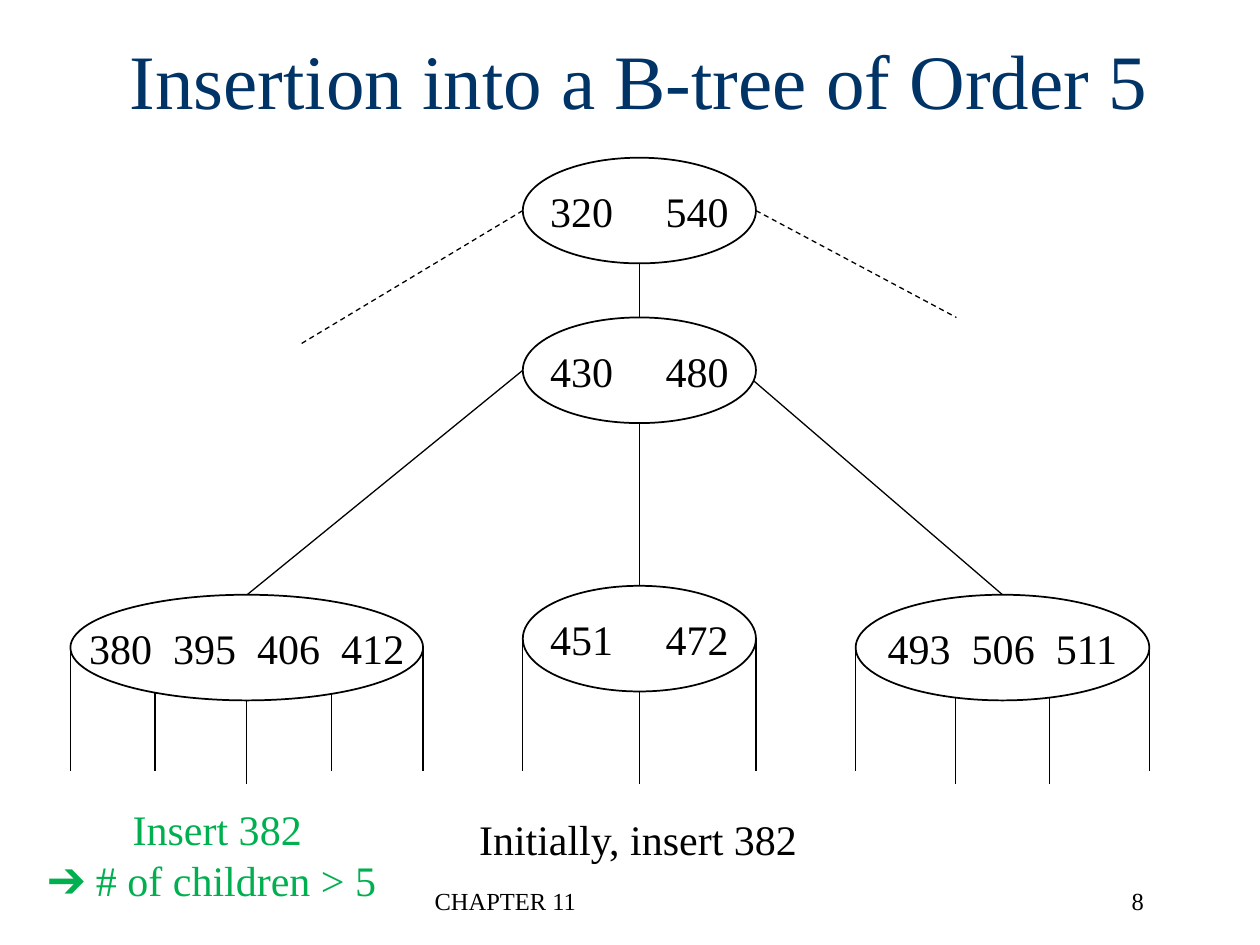
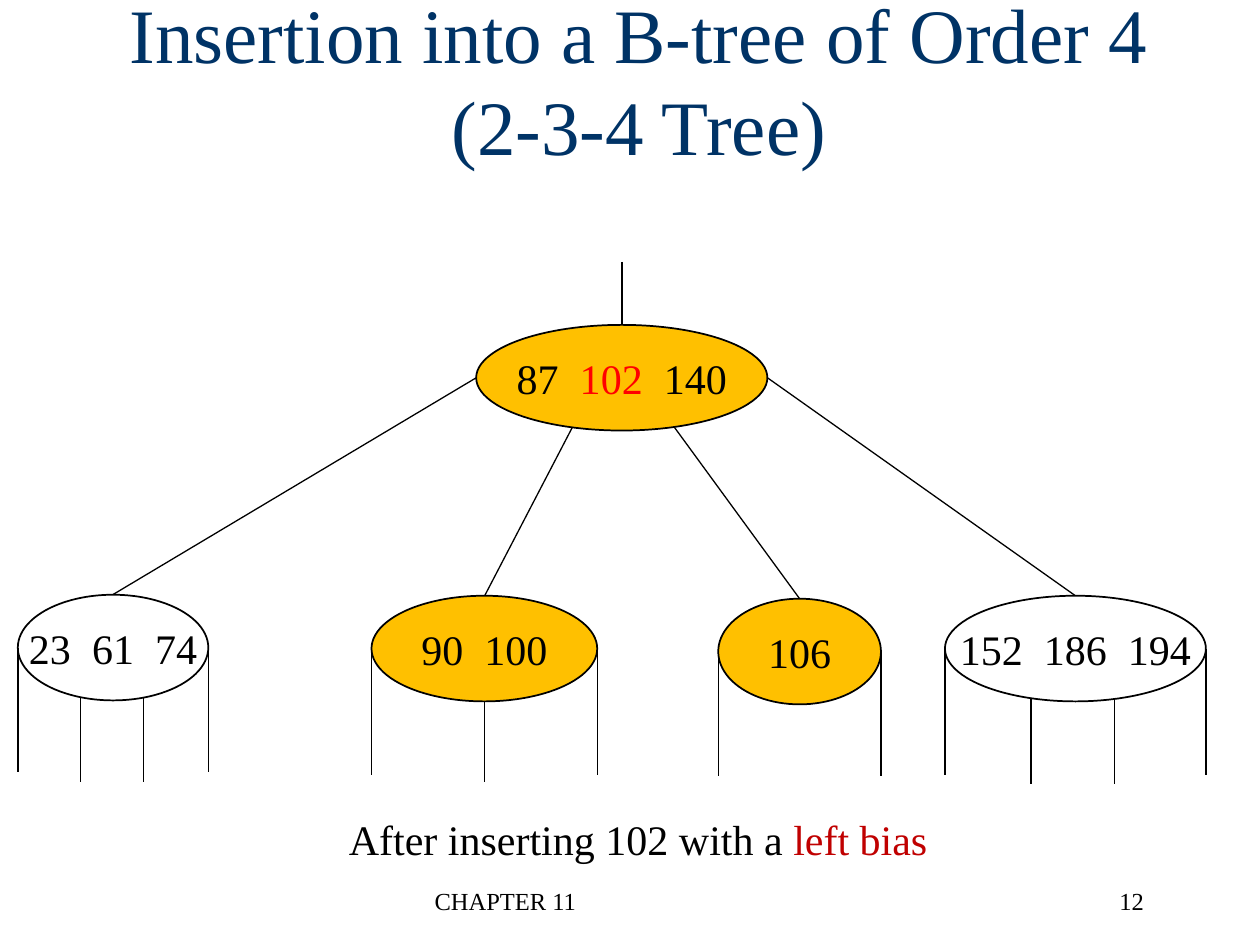
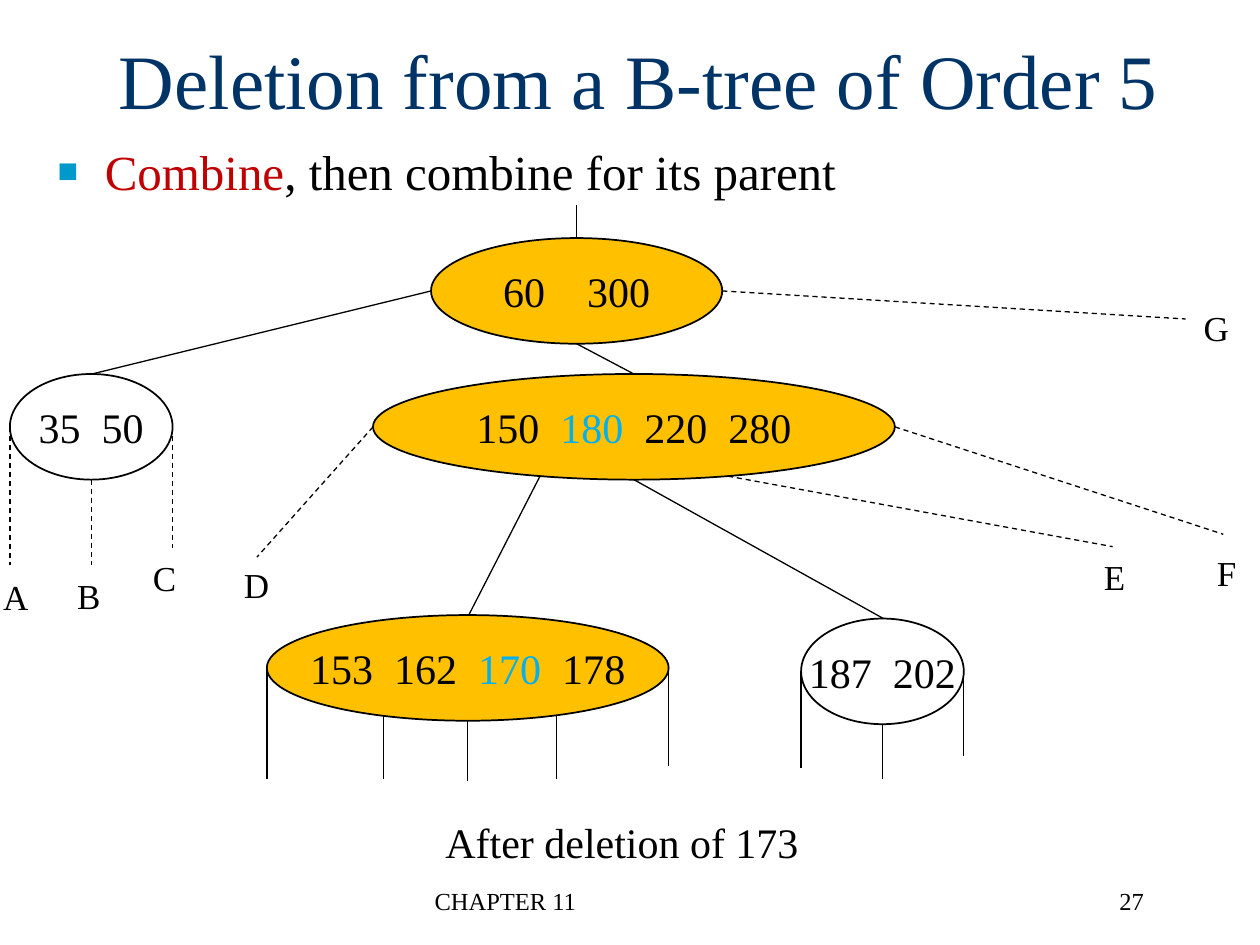
from math import sqrt

from lxml import etree
from pptx import Presentation
from pptx.dml.color import RGBColor as Rgb
from pptx.enum.dml import MSO_LINE
from pptx.enum.shapes import MSO_CONNECTOR, MSO_SHAPE
from pptx.enum.text import MSO_ANCHOR as Anchor, MSO_AUTO_SIZE as AutoSize, PP_ALIGN as Align
from pptx.oxml.ns import qn
from pptx.util import Cm, Pt

FONT = "Times New Roman"
COLORS = {
    "title": "003366", "ink": "000000", "paper": "FFFFFF", "changed": "FFC000",
    "new": "FF0000", "moved": "00B0F0", "emphasis": "C00000", "note": "00B050",
    "bullet": "0099CC",
}
NODE_HEIGHT = 2.13  # cm
SPACE_WIDTH = 6     # points, one space at 24 pt


def add_run(paragraph, text, size, color="ink"):
    run = paragraph.add_run()
    run.text = text
    run.font.name = FONT
    run.font.size = Pt(size)
    run.font.color.rgb = Rgb.from_string(COLORS[color])
    return run


def add_line(slide, x1, y1, x2, y2, dashed=False):
    line = slide.shapes.add_connector(
        MSO_CONNECTOR.STRAIGHT, Cm(x1), Cm(y1), Cm(x2), Cm(y2))
    line.line.color.rgb = Rgb.from_string(COLORS["ink"])
    line.line.width = Pt(0.75)
    if dashed:
        line.line.dash_style = MSO_LINE.DASH
    etree.SubElement(line._element.spPr, qn("a:effectLst"))


# Node: left, top, width, fill, keys, spaces between keys, coloured keys, links.
# Link: position along the node's width, end x (None: straight down), end y, dashed.
# Caption: left, top, width, height, then lines of (text, colour) runs.
SLIDES = [
    {
        "title": "Insertion into a B-tree of Order 5", "number": "8",
        "nodes": [
            (10.54, 3.18, 4.7, "paper", "320 540", 5, {},
             [(0, 6.07, 6.93, True), (0.5, None, 6.4, False), (1, 19.28, 6.4, True)]),
            (10.54, 6.4, 4.7, "paper", "430 480", 5, {},
             [(0, 4.98, 11.99, False), (0.5, None, 11.81, False),
              (0.99, 20.21, 11.99, False)]),
            (10.54, 11.81, 4.7, "paper", "451 472", 5, {},
             [(0, None, 15.54, False), (0.5, None, 15.8, False), (1, None, 15.54, False)]),
            (17.25, 11.99, 5.92, "paper", "493 506 511", 2, {},
             [(0, None, 15.54, False), (0.34, None, 15.8, False),
              (0.66, None, 15.8, False), (1, None, 15.54, False)]),
            (1.42, 11.99, 7.11, "paper", "380 395 406 412", 2, {},
             [(0, None, 15.54, False), (0.24, None, 15.54, False),
              (0.5, None, 15.8, False), (0.74, None, 15.54, False),
              (1, None, 15.54, False)]),
        ],
        "captions": [
            (9.37, 16.28, 6.99, 1.27, [[("Initially, insert 382", "ink")]]),
            (0.61, 16.08, 7.54, 2.31,
             [[("Insert 382", "note")], [("➔ # of children > 5 ", "note")]]),
        ],
    },
    {
        "title": "Insertion into a B-tree of Order 4 (2-3-4 Tree)", "number": "12",
        "stem": (12.54, 5.28, 6.55),
        "nodes": [
            (9.6, 6.55, 5.87, "changed", "87 102 140", 2, {"102": "new"},
             [(0, 2.27, 11.99, False), (0.33, 9.77, 12.01, False),
              (0.68, 16.12, 12.07, False), (1, 21.68, 12.01, False)]),
            (0.36, 11.99, 3.84, "paper", "23 61 74", 2, {},
             [(0, None, 15.57, False), (0.33, None, 15.77, False),
              (0.66, None, 15.77, False), (1, None, 15.57, False)]),
            (7.49, 12.01, 4.55, "changed", "90 100", 2, {},
             [(0, None, 15.62, False), (0.5, None, 15.77, False), (1, None, 15.62, False)]),
            (14.48, 12.07, 3.28, "changed", "106", 2, {},
             [(0, None, 15.65, False), (1, None, 15.65, False)]),
            (19.05, 12.01, 5.26, "paper", "152 186 194", 2, {},
             [(0, None, 15.62, False), (0.33, None, 15.8, False),
              (0.65, None, 15.8, False), (1, None, 15.62, False)]),
        ],
        "captions": [
            (6.73, 16.28, 12.27, 1.27,
             [[("After inserting 102 with a ", "ink"), ("left bias", "emphasis")]]),
        ],
    },
    {
        "title": "Deletion from a B-tree of Order 5", "number": "27",
        "bullet": [("Combine", "emphasis"), (", then combine for its parent", "ink")],
        "stem": (11.62, 4.14, 4.8),
        "nodes": [
            (8.69, 4.8, 5.87, "changed", "60 300", 4, {},
             [(0, 1.85, 7.54, False), (0.5, 12.78, 7.54, False), (1, 23.9, 6.43, True)]),
            (0.2, 7.54, 3.28, "paper", "35 50", 2, {},
             [(0, None, 11.38, True), (0.5, None, 11.38, True), (1, None, 11.05, True)]),
            (7.52, 7.54, 10.52, "changed", "150 180 220 280", 2, {"180": "moved"},
             [(0, 5.18, 11.23, True), (0.32, 9.45, 12.4, False),
              (0.5, 17.81, 12.47, False), (0.68, 22.43, 11.02, True),
              (1, 24.66, 10.77, True)]),
            (5.38, 12.4, 8.1, "changed", "153 162 170 178", 2, {"170": "moved"},
             [(0, None, 15.7, False), (0.29, None, 15.7, False),
              (0.5, None, 15.75, False), (0.72, None, 15.7, False),
              (1, None, 15.44, False)]),
            (16.15, 12.47, 3.28, "paper", "187 202", 2, {},
             [(0, None, 15.49, False), (0.5, None, 15.7, False), (1, None, 15.24, False)]),
        ],
        "captions": [
            (8.69, 16.33, 7.7, 1.27, [[("After deletion of 173", "ink")]]),
        ],
        "subtrees": {
            "A": (-0.2, 11.48), "B": (1.27, 11.46), "C": (2.8, 11.1), "D": (4.65, 11.23),
            "E": (21.95, 11.07), "F": (24.21, 11), "G": (24, 6.05),
        },
    },
]

prs = Presentation()
prs.slide_width, prs.slide_height = Cm(25.4), Cm(19.05)

for content in SLIDES:
    # Title
    layout = prs.slide_layouts[1 if "bullet" in content else 5]
    slide = prs.slides.add_slide(layout)
    title = slide.shapes.title
    title.left, title.top, title.width, title.height = Cm(1.63), Cm(0), Cm(22.5), Cm(3.18)
    title.text_frame.auto_size = AutoSize.NONE
    title.text_frame.vertical_anchor = Anchor.MIDDLE
    heading = title.text_frame.paragraphs[0]
    heading.alignment = Align.CENTER
    add_run(heading, content["title"], 44, "title")

    # Bulleted rule
    if "bullet" in content:
        body = slide.placeholders[1]
        body.left, body.top, body.width, body.height = Cm(0.91), Cm(2.72), Cm(23.9), Cm(14.48)
        body.text_frame.auto_size = AutoSize.NONE
        rule = body.text_frame.paragraphs[0]
        props = rule._p.get_or_add_pPr()
        props.set("marL", str(Cm(0.95)))
        props.set("indent", str(-Cm(0.95)))
        bullet_color = etree.SubElement(props, qn("a:buClr"))
        etree.SubElement(bullet_color, qn("a:srgbClr"), val=COLORS["bullet"])
        etree.SubElement(props, qn("a:buSzPct"), val="70000")
        etree.SubElement(props, qn("a:buChar"), char="■")
        for text, color in content["bullet"]:
            add_run(rule, text, 28, color)

    # Line leading into the top node
    if "stem" in content:
        x, start, end = content["stem"]
        add_line(slide, x, start, x, end)

    # Tree nodes with their links
    for left, top, width, fill, keys, spaces, key_colors, links in content["nodes"]:
        node = slide.shapes.add_shape(
            MSO_SHAPE.OVAL, Cm(left), Cm(top), Cm(width), Cm(NODE_HEIGHT))
        node.shadow.inherit = False
        node.fill.solid()
        node.fill.fore_color.rgb = Rgb.from_string(COLORS[fill])
        node.line.color.rgb = Rgb.from_string(COLORS["ink"])
        node.line.width = Pt(1)
        node.text_frame.word_wrap = False
        node.text_frame.vertical_anchor = Anchor.MIDDLE
        key_row = node.text_frame.paragraphs[0]
        key_row.alignment = Align.CENTER
        for index, key in enumerate(keys.split()):
            if index:
                gap = add_run(key_row, " ", 24)
                gap._r.get_or_add_rPr().set("spc", str((spaces - 1) * SPACE_WIDTH * 100))
            add_run(key_row, key, 24, key_colors.get(key, "ink"))

        for position, end_x, end_y, dashed in links:
            x = left + width * position
            # Start on the lower outline of the ellipse
            rise = sqrt(1 - (2 * position - 1) ** 2)
            y = top + NODE_HEIGHT / 2 * (1 + rise)
            add_line(slide, x, y, x if end_x is None else end_x, end_y, dashed)

    # Captions, subtree letters and footer
    texts = [(*caption, 24, Align.CENTER) for caption in content["captions"]]
    for letter, (left, top) in content.get("subtrees", {}).items():
        texts.append((left, top, 1.04, 1.12, [[(letter, "ink")]], 20, Align.CENTER))
    texts.append((8.51, 17.73, 8.05, 1.27, [[("CHAPTER 11", "ink")]], 14, Align.LEFT))
    texts.append((18.03, 17.73, 5.28, 1.27, [[(content["number"], "ink")]], 14, Align.RIGHT))
    for left, top, width, height, lines, size, alignment in texts:
        box = slide.shapes.add_textbox(Cm(left), Cm(top), Cm(width), Cm(height))
        box.text_frame.word_wrap = alignment != Align.CENTER
        paragraph = box.text_frame.paragraphs[0]
        paragraph.alignment = alignment
        for index, runs in enumerate(lines):
            if index:
                paragraph.add_line_break()
            for text, color in runs:
                add_run(paragraph, text, size, color)

prs.save("out.pptx")
